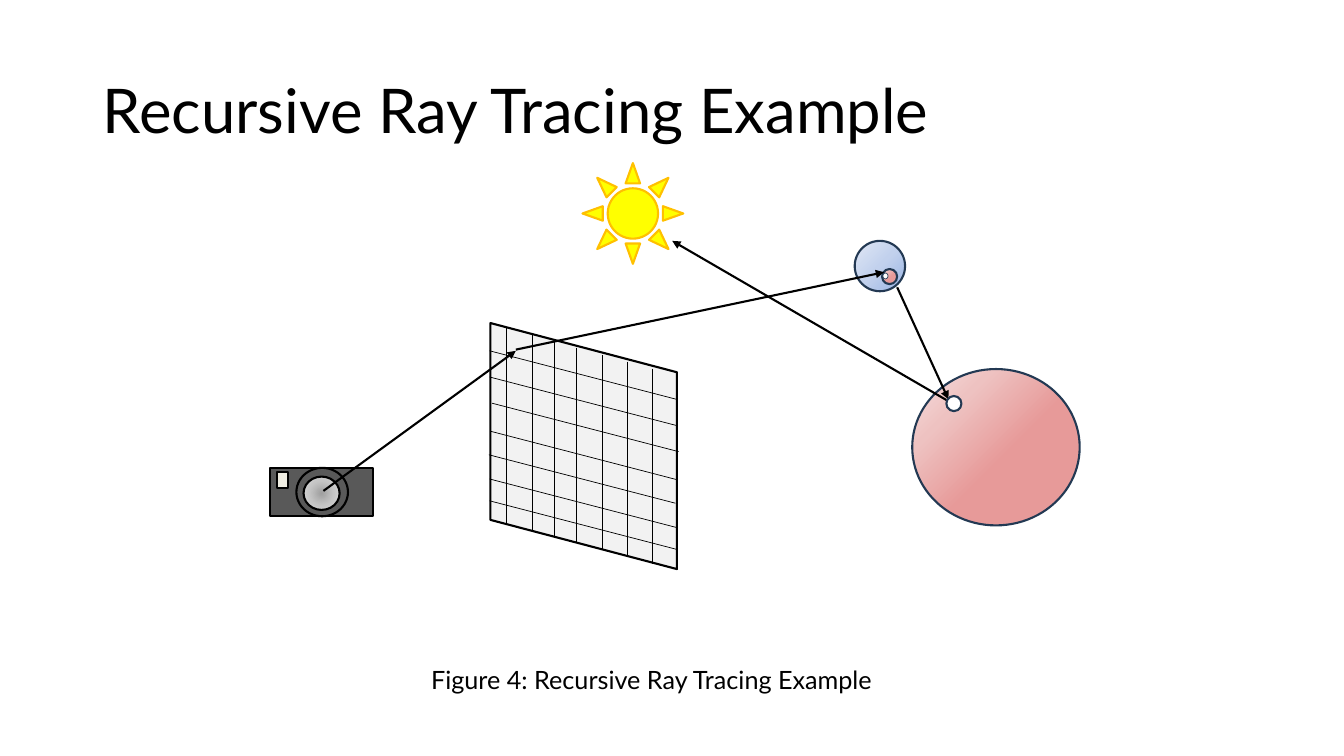
from lxml import etree
from pptx import Presentation
from pptx import util as u
from pptx.dml.color import RGBColor
from pptx.enum import shapes, text
from pptx.oxml import parse_xml
from pptx.oxml.ns import nsdecls, qn

Kind = shapes.MSO_SHAPE
BLACK, WHITE, NAVY, GRAPHITE = "000000", "FFFFFF", "233953", "595959"
CORNER, CENTRE = (100, 100, 0, 0), (50, 50, 50, 50)
RED_SHADE = ([(44, "E79A99"), (75, "EEC2C1"), (100, "F6E1E1")], CORNER)
BLUE_SHADE = ([(0, "9AB5E4"), (50, "C2D1ED"), (100, "E1E8F5")], CORNER)
GLASS_SHADE = ([(0, "A0A0A0"), (50, "C5C5C5"), (100, "E3E3E3")], CENTRE)


def colour(value):
    return RGBColor.from_string(value)


class Sketch:
    """Holds the style and the current slide; all lengths are centimetres."""

    font = "Lato"

    def __init__(self, slide):
        self.slide = slide

    def label(self, box, words, size, align, anchor, spacing=1.0):
        frame = self.slide.shapes.add_textbox(*map(u.Cm, box)).text_frame
        frame.word_wrap = True
        frame.vertical_anchor = anchor
        paragraph = frame.paragraphs[0]
        paragraph.alignment = align
        paragraph.line_spacing = spacing
        run = paragraph.add_run()
        run.text = words
        run.font.name = self.font
        run.font.size = u.Pt(size)
        run.font.color.rgb = colour(BLACK)

    def solid(self, kind, box, fill, line=BLACK, width=1.5, parent=None):
        parent = parent or self.slide
        shape = parent.shapes.add_shape(kind, *map(u.Cm, box))
        shape.shadow.inherit = False
        shape.fill.solid()
        shape.fill.fore_color.rgb = colour(fill)
        shape.line.color.rgb = colour(line)
        shape.line.width = u.Pt(width)
        return shape

    def shaded(self, box, shade, line=NAVY, parent=None):
        """A circle with a radial gradient."""
        stops, focus = shade
        ball = self.solid(Kind.FLOWCHART_CONNECTOR, box, WHITE, line, parent=parent)
        stop_xml = "".join(
            f'<a:gs pos="{at * 1000}"><a:srgbClr val="{tone}"/></a:gs>'
            for at, tone in stops)
        sides = " ".join(f'{side}="{part * 1000}"' for side, part in zip("ltrb", focus))
        gradient = parse_xml(
            f'<a:gradFill {nsdecls("a")} rotWithShape="1"><a:gsLst>{stop_xml}</a:gsLst>'
            f'<a:path path="circle"><a:fillToRect {sides}/></a:path></a:gradFill>')
        properties = ball.element.spPr
        properties.replace(properties.find(qn("a:solidFill")), gradient)

    def line(self, start, end, width=0.5, arrow=False):
        stroke = self.slide.shapes.add_connector(
            shapes.MSO_CONNECTOR.STRAIGHT, *map(u.Cm, (*start, *end)))
        stroke.line.color.rgb = colour(BLACK)
        stroke.line.width = u.Pt(width)
        if arrow:
            outline = stroke.line._get_or_add_ln()
            etree.SubElement(outline, qn("a:tailEnd"), type="triangle")
        etree.SubElement(stroke.element.spPr, qn("a:effectLst"))

    def ray(self, start, end):
        self.line(start, end, 1.5, arrow=True)


def draw_camera(sketch):
    camera = sketch.slide.shapes.add_group_shape()
    sketch.solid(Kind.RECTANGLE, (6.81, 11.79, 2.59, 1.22), GRAPHITE, parent=camera)
    sketch.solid(Kind.FLOWCHART_CONNECTOR, (7.47, 11.79, 1.3, 1.22), GRAPHITE,
                 parent=camera)
    sketch.solid(Kind.RECTANGLE, (6.98, 11.89, 0.28, 0.41), "EEECE1", parent=camera)
    sketch.shaded((7.65, 12.01, 0.91, 0.84), GLASS_SHADE, BLACK, camera)


def draw_screen(sketch):
    screen = sketch.solid(Kind.FLOWCHART_DATA, (11.61, 8.89, 6.2, 4.7), "D9D9D9")
    screen.rotation = 270
    tone = screen.element.spPr.find(qn("a:solidFill"))[0]
    etree.SubElement(tone, qn("a:alpha"), val="32000")
    # Slanted rows, then upright columns that follow the slanted top edge
    rows = [(12.34, 8.84), (12.34, 9.5), (12.4, 10.16), (12.37, 10.87),
            (12.32, 11.46), (12.34, 12.07), (12.34, 12.62)]
    for x, y in rows:
        sketch.line((x, y), (x + 4.7, y + 1.22))
    for x in (12.75, 13.41, 13.97, 14.53, 15.19, 15.8, 16.43):
        top = 8.26 + 0.28 * (x - 12.75)
        sketch.line((x, top), (x, top + 4.91))


def main():
    deck = Presentation()
    deck.slide_width, deck.slide_height = u.Cm(33.87), u.Cm(19.05)
    sketch = Sketch(deck.slides.add_slide(deck.slide_layouts[6]))

    # Title
    sketch.label((2.34, 1.02, 29.21, 3.68), "Recursive Ray Tracing Example", 44,
                 text.PP_ALIGN.LEFT, text.MSO_ANCHOR.MIDDLE, 0.9)

    # Scene
    sketch.shaded((22.99, 9.3, 4.22, 3.94), RED_SHADE)
    draw_camera(sketch)
    draw_screen(sketch)

    # Blue sphere with the red one mirrored in it
    sketch.ray((22.61, 7.24), (23.9, 10.06))
    sketch.shaded((21.54, 6.07, 1.27, 1.27), BLUE_SHADE)
    sketch.shaded((22.23, 6.78, 0.38, 0.38), RED_SHADE)

    # Light source
    sketch.solid(Kind.SUN, (14.68, 4.11, 2.54, 2.54), "FFFF00", "FFC000")

    # Rays: camera to screen, screen to blue sphere, red sphere to light
    sketch.ray((8.15, 12.37), (13, 8.84))
    sketch.ray((13, 8.81), (22.28, 6.86))
    sketch.ray((23.85, 10.08), (16.94, 6.07))

    # Hit point and its mirrored twin
    sketch.solid(Kind.FLOWCHART_CONNECTOR, (23.85, 9.98, 0.38, 0.38), WHITE, NAVY)
    sketch.solid(Kind.FLOWCHART_CONNECTOR, (22.25, 6.88, 0.13, 0.15), WHITE, NAVY, 0.5)

    # Caption
    sketch.label((10.36, 16.61, 12.12, 1.02), "Figure 4: Recursive Ray Tracing Example",
                 18, text.PP_ALIGN.CENTER, text.MSO_ANCHOR.TOP)

    deck.save("out.pptx")


if __name__ == "__main__":
    main()
